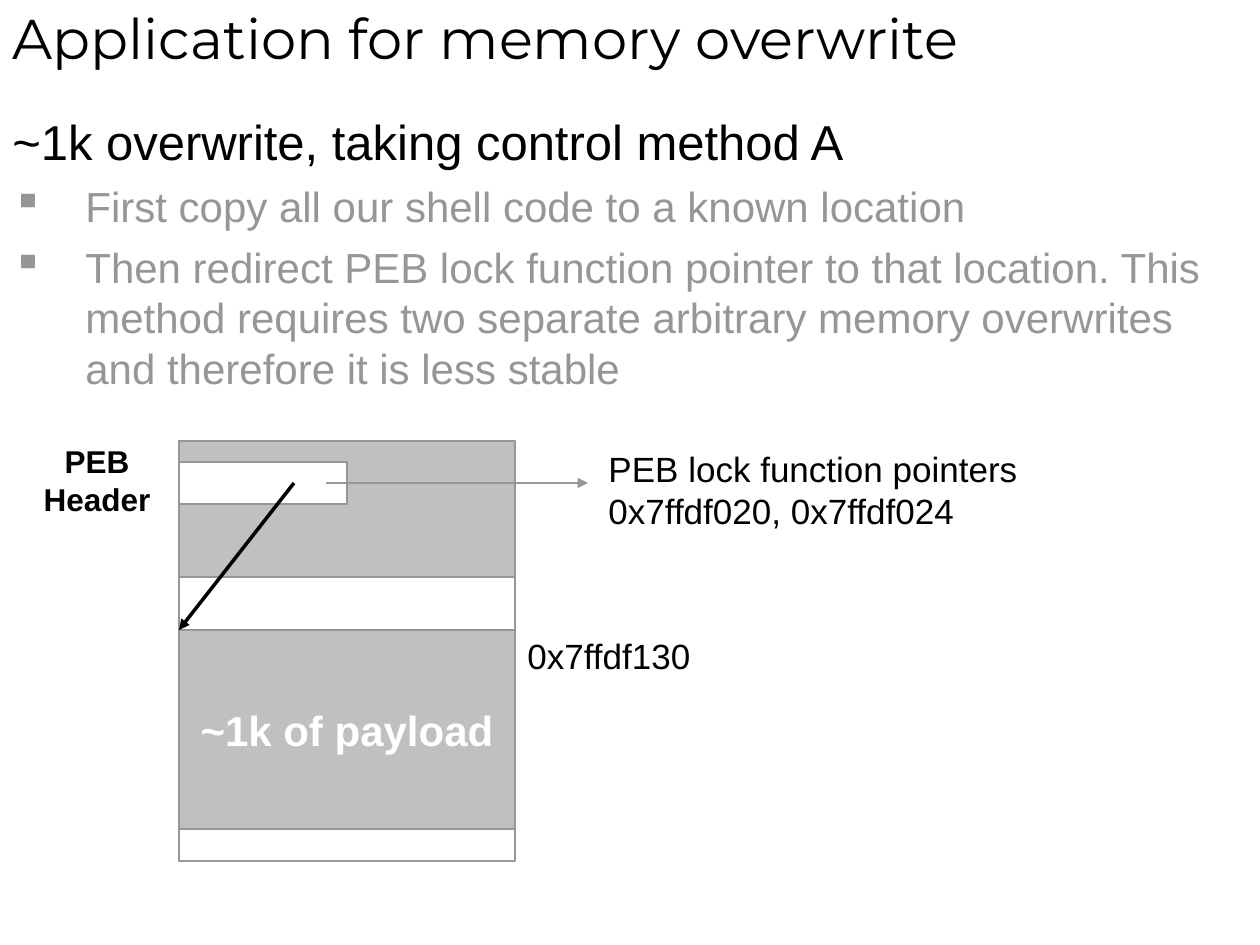
from dataclasses import dataclass

from lxml import etree
from pptx import Presentation
from pptx import util as u
from pptx.dml.color import RGBColor
from pptx.enum import shapes, text
from pptx.oxml.ns import qn

PX = 914400 / 126
COLORS = {"ink": "000000", "grey": "969696", "block": "C0C0C0", "white": "FFFFFF"}
LEFT, CENTER = text.PP_ALIGN.LEFT, text.PP_ALIGN.CENTER


@dataclass
class Block:
    left: int
    top: int
    width: int
    height: int
    fill: str
    label: str = ""


@dataclass
class Label:
    left: int
    top: int
    width: int
    height: int
    words: str
    size: int
    bold: bool = False
    align: text.PP_ALIGN = LEFT


@dataclass
class Arrow:
    start: tuple[int, int]
    end: tuple[int, int]
    color: str
    weight: float


def px(value: int) -> int:
    return round(value * PX)


def rgb(name: str) -> RGBColor:
    return RGBColor.from_string(COLORS[name])


def format_para(para, size: int, color: str, bold: bool = False,
                align=LEFT, face: str = "Arial") -> None:
    para.alignment = align
    for span in para.runs:
        span.font.name = face
        span.font.size = u.Pt(size)
        span.font.bold = bold
        span.font.color.rgb = rgb(color)


def add_block(page, block: Block) -> None:
    box = page.shapes.add_shape(shapes.MSO_SHAPE.RECTANGLE, px(block.left),
                                px(block.top), px(block.width), px(block.height))
    box.shadow.inherit = False
    box.fill.solid()
    box.fill.fore_color.rgb = rgb(block.fill)
    box.line.color.rgb = rgb("grey")
    box.line.width = u.Pt(0.75)
    if block.label:
        frame = box.text_frame
        frame.word_wrap = False
        frame.vertical_anchor = text.MSO_ANCHOR.MIDDLE
        frame.text = block.label
        format_para(frame.paragraphs[0], 24, "white", True, CENTER)


def add_label(page, label: Label) -> None:
    box = page.shapes.add_textbox(px(label.left), px(label.top),
                                  px(label.width), px(label.height))
    frame = box.text_frame
    frame.text = label.words
    frame.word_wrap = False
    frame.auto_size = text.MSO_AUTO_SIZE.SHAPE_TO_FIT_TEXT
    for para in frame.paragraphs:
        format_para(para, label.size, "ink", label.bold, label.align)


def add_arrow(page, arrow: Arrow) -> None:
    line = page.shapes.add_connector(shapes.MSO_CONNECTOR.STRAIGHT,
                                     *map(px, arrow.start + arrow.end))
    line.line.color.rgb = rgb(arrow.color)
    line.line.width = u.Pt(arrow.weight)
    etree.SubElement(line.line._get_or_add_ln(), qn("a:tailEnd"), type="triangle")
    etree.SubElement(line._element.spPr, qn("a:effectLst"))


def add_bullet(para) -> None:
    props = para._p.get_or_add_pPr()
    props.set("marL", str(px(73)))
    props.set("indent", str(-px(73)))
    color = etree.SubElement(props, qn("a:buClr"))
    etree.SubElement(color, qn("a:srgbClr"), val=COLORS["grey"])
    etree.SubElement(props, qn("a:buChar"), char="▪")


def add_title(page) -> None:
    title = page.shapes.title
    title.left, title.top, title.width, title.height = map(px, (0, -10, 1260, 95))
    frame = title.text_frame
    frame.text = "Application for memory overwrite"
    frame.auto_size = text.MSO_AUTO_SIZE.NONE
    frame.vertical_anchor = text.MSO_ANCHOR.MIDDLE
    format_para(frame.paragraphs[0], 32, "ink", face="Montserrat")


def add_body(page) -> None:
    lines = (
        "~1k overwrite, taking control method A",
        "First copy all our shell code to a known location",
        "Then redirect PEB lock function pointer to that location. This method "
        "requires two separate arbitrary memory overwrites and therefore it is "
        "less stable",
    )
    frame = page.shapes.add_textbox(0, px(105), px(1260), px(777)).text_frame
    frame.word_wrap = True
    frame.text = "\n".join(lines)
    heading, *points = frame.paragraphs
    format_para(heading, 28, "ink")
    for para in points:
        add_bullet(para)
        para.space_before = u.Pt(6)
        format_para(para, 24, "grey")


# Memory map: one column holding the PEB, the pointer slot and the payload
COLUMN, WIDTH = 179, 336
BLOCKS = (
    Block(COLUMN, 441, WIDTH, 420, "white"),
    Block(COLUMN, 441, WIDTH, 136, "block"),
    Block(COLUMN, 630, WIDTH, 199, "block", "~1k of payload"),
    Block(COLUMN, 462, WIDTH // 2, 42, "white"),
)
ARROWS = (
    Arrow((294, 483), (COLUMN, 630), "ink", 2),
    Arrow((326, 483), (588, 483), "grey", 0.75),
)
LABELS = (
    Label(31, 436, 132, 88, "PEB\nHeader", 18, True, CENTER),
    Label(596, 441, 435, 97,
          "PEB lock function pointers\n0x7ffdf020, 0x7ffdf024", 20),
    Label(COLUMN + WIDTH, 628, 189, 55, "0x7ffdf130", 20),
)


def main() -> None:
    deck = Presentation()
    deck.slide_width, deck.slide_height = px(1260), px(945)
    page = deck.slides.add_slide(deck.slide_layouts[5])

    # Text
    add_title(page)
    add_body(page)

    # Diagram
    for block in BLOCKS:
        add_block(page, block)
    for arrow in ARROWS:
        add_arrow(page, arrow)
    for label in LABELS:
        add_label(page, label)

    deck.save("out.pptx")


if __name__ == "__main__":
    main()
